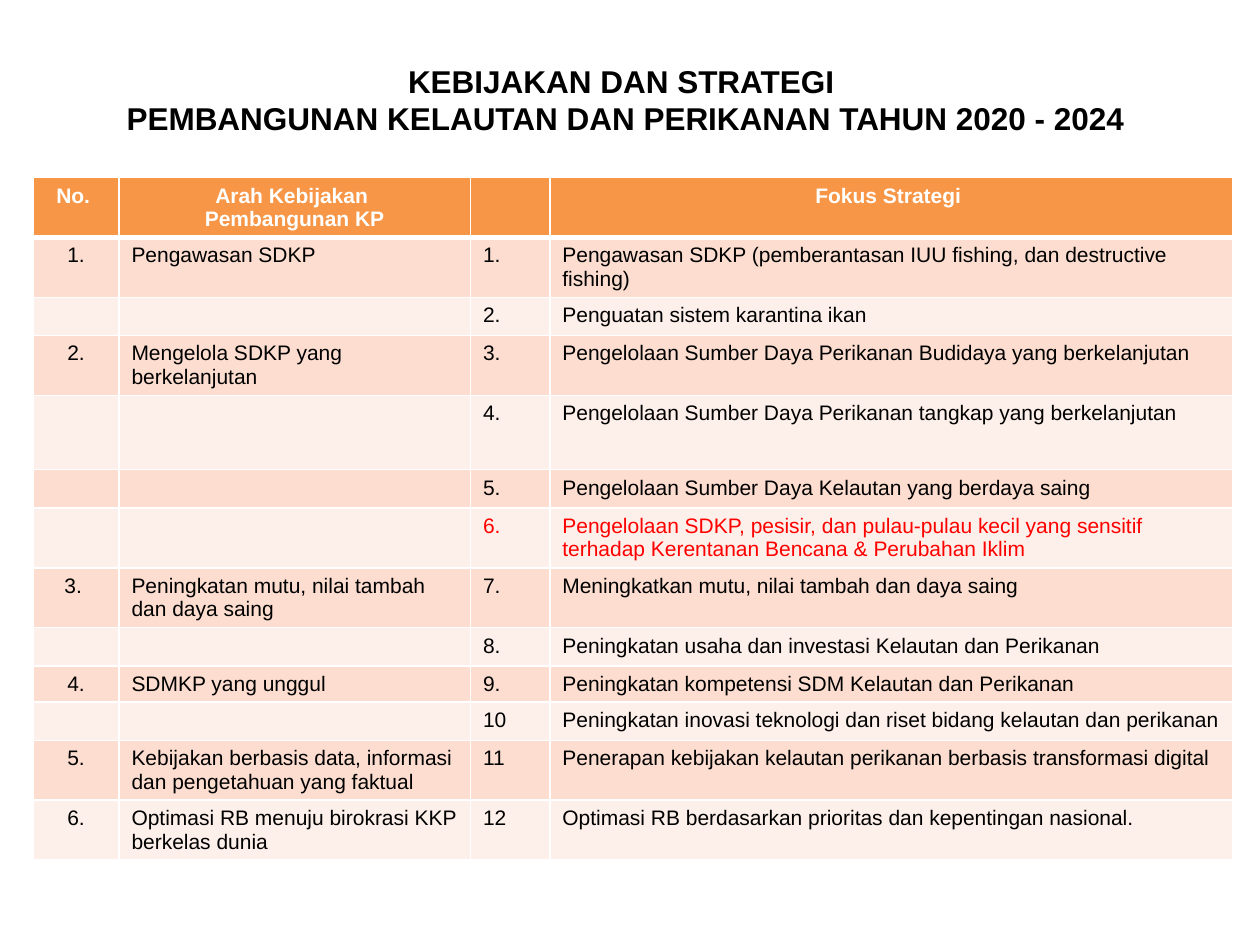
from lxml.etree import SubElement
from pptx import Presentation
from pptx.dml.color import RGBColor
from pptx.enum.text import MSO_AUTO_SIZE, PP_ALIGN
from pptx.oxml.ns import qn
from pptx.util import Pt

# Content
TITLE = ("KEBIJAKAN DAN STRATEGI \n"
         "PEMBANGUNAN KELAUTAN DAN PERIKANAN TAHUN 2020 - 2024")
HEADER = ("No. ", "Arah Kebijakan \nPembangunan KP", "", "Fokus Strategi ")
POLICIES = [
    ("1.", "Pengawasan SDKP", "1.",
     "Pengawasan SDKP (pemberantasan IUU fishing, dan destructive fishing)"),
    ("", "", "2.", "Penguatan sistem karantina ikan"),
    ("2.", "Mengelola SDKP yang berkelanjutan", "3.",
     "Pengelolaan Sumber Daya Perikanan Budidaya yang berkelanjutan"),
    ("", "", "4.", "Pengelolaan Sumber Daya Perikanan tangkap yang berkelanjutan"),
    ("", "", "5.", "Pengelolaan Sumber Daya Kelautan yang berdaya saing"),
    ("", "", "6.", "Pengelolaan SDKP, pesisir, dan pulau-pulau kecil yang sensitif "
     "terhadap Kerentanan Bencana & Perubahan Iklim"),
    ("3. ", "Peningkatan mutu, nilai tambah dan daya saing", "7.",
     "Meningkatkan mutu, nilai tambah dan daya saing"),
    ("", "", "8.", "Peningkatan usaha dan investasi Kelautan dan Perikanan"),
    ("4.", "SDMKP yang unggul", "9.",
     "Peningkatan kompetensi SDM Kelautan dan Perikanan"),
    ("", "", "10",
     "Peningkatan inovasi teknologi dan riset bidang kelautan dan perikanan"),
    ("5.", "Kebijakan berbasis data, informasi dan pengetahuan yang faktual", "11",
     "Penerapan kebijakan kelautan perikanan berbasis transformasi digital"),
    ("6.", "Optimasi RB menuju birokrasi KKP berkelas dunia", "12",
     "Optimasi RB berdasarkan prioritas dan kepentingan nasional."),
]
HIGHLIGHTED = "6."

# Layout, in points
COLUMN_WIDTHS = (48.96, 200.88, 45.36, 390.24)
ONE_LINE, TWO_LINES, TALL = 20.57, 34.2, 42.5
ROW_HEIGHTS = (TWO_LINES, TWO_LINES, ONE_LINE, TWO_LINES, TALL, ONE_LINE, TWO_LINES,
               TWO_LINES, ONE_LINE, ONE_LINE, ONE_LINE, TWO_LINES, TWO_LINES)

FONT = "Arial"
WHITE = RGBColor(0xFF, 0xFF, 0xFF)
BLACK = RGBColor(0x00, 0x00, 0x00)
RED = RGBColor(0xFF, 0x00, 0x00)
ORANGE = RGBColor(0xF7, 0x96, 0x46)
BANDS = (RGBColor(0xFC, 0xDD, 0xCF), RGBColor(0xFD, 0xEF, 0xE9))


def write_text(text_frame, text, size, color, bold, alignment):
    text_frame.text = text
    for paragraph in text_frame.paragraphs:
        paragraph.alignment = alignment
        for run in paragraph.runs:
            run.font.name = FONT
            run.font.size = Pt(size)
            run.font.bold = bold
            run.font.color.rgb = color
        if not paragraph.runs:
            # An empty cell keeps the text size, so its row stays low
            SubElement(paragraph._p, qn("a:endParaRPr"), sz=str(size * 100))


def add_borders(cell, top, bottom):
    properties = cell._tc.get_or_add_tcPr()
    for side, width in (("L", 1), ("R", 1), ("T", top), ("B", bottom)):
        line = SubElement(properties, qn(f"a:ln{side}"), w=str(Pt(width)))
        fill = SubElement(line, qn("a:solidFill"))
        SubElement(fill, qn("a:srgbClr"), val=str(WHITE))


presentation = Presentation()
presentation.slide_width, presentation.slide_height = Pt(720), Pt(540)
slide = presentation.slides.add_slide(presentation.slide_layouts[6])

# Table of policies and strategies
rows = [HEADER] + POLICIES
table = slide.shapes.add_table(
    len(rows), len(HEADER), Pt(19), Pt(101.5),
    Pt(sum(COLUMN_WIDTHS)), Pt(sum(ROW_HEIGHTS))).table
for column, width in zip(table.columns, COLUMN_WIDTHS):
    column.width = Pt(width)

for row_index, texts in enumerate(rows):
    table.rows[row_index].height = Pt(ROW_HEIGHTS[row_index])
    is_header = row_index == 0
    for column_index, text in enumerate(texts):
        cell = table.cell(row_index, column_index)
        add_borders(cell, 3 if row_index == 1 else 1, 3 if is_header else 1)
        cell.fill.solid()
        cell.fill.fore_color.rgb = ORANGE if is_header else BANDS[(row_index - 1) % 2]
        if is_header:
            color = WHITE
        else:
            color = RED if texts[2] == HIGHLIGHTED else BLACK
        centered = is_header or column_index == 0
        write_text(cell.text_frame, text, 12, color, is_header,
                   PP_ALIGN.CENTER if centered else PP_ALIGN.LEFT)

# Title
title = slide.shapes.add_textbox(Pt(-4.3), Pt(31.7), Pt(723.6), Pt(51))
title.text_frame.word_wrap = True
title.text_frame.auto_size = MSO_AUTO_SIZE.SHAPE_TO_FIT_TEXT
write_text(title.text_frame, TITLE, 18, BLACK, True, PP_ALIGN.CENTER)

presentation.save("out.pptx")
